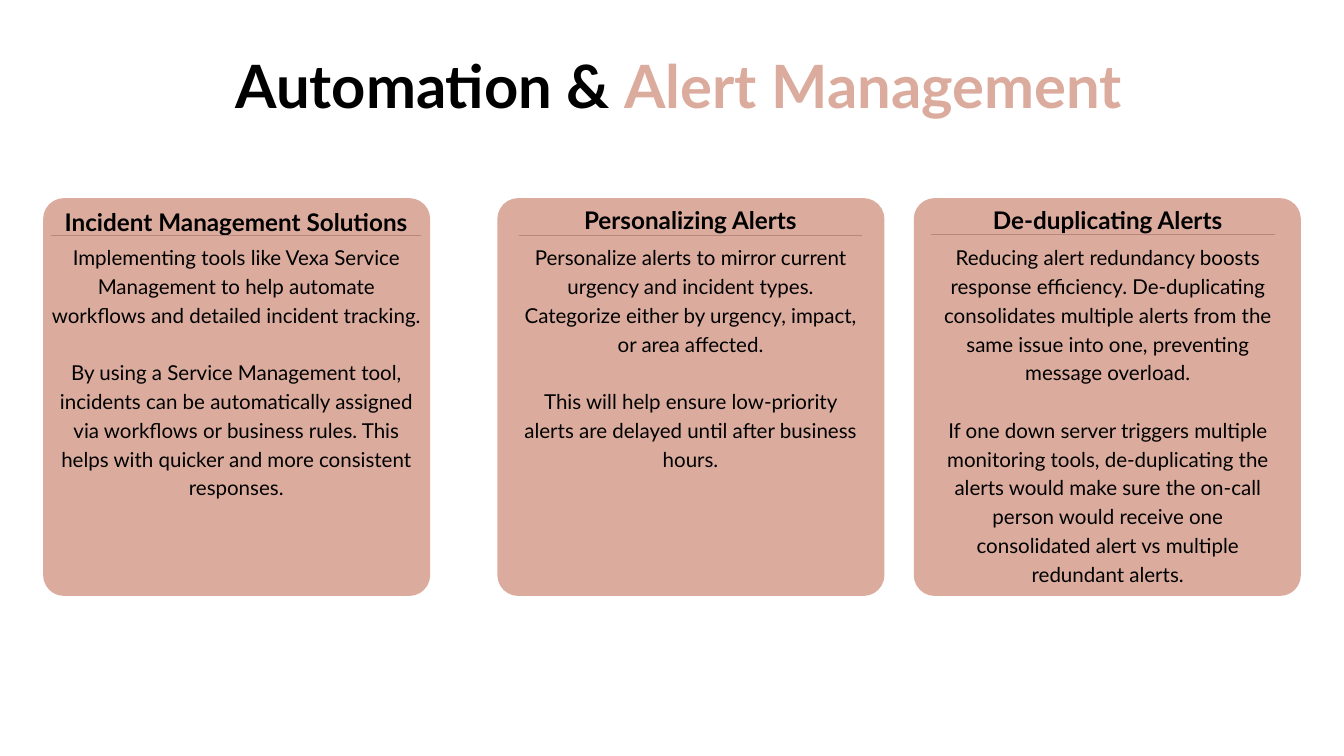
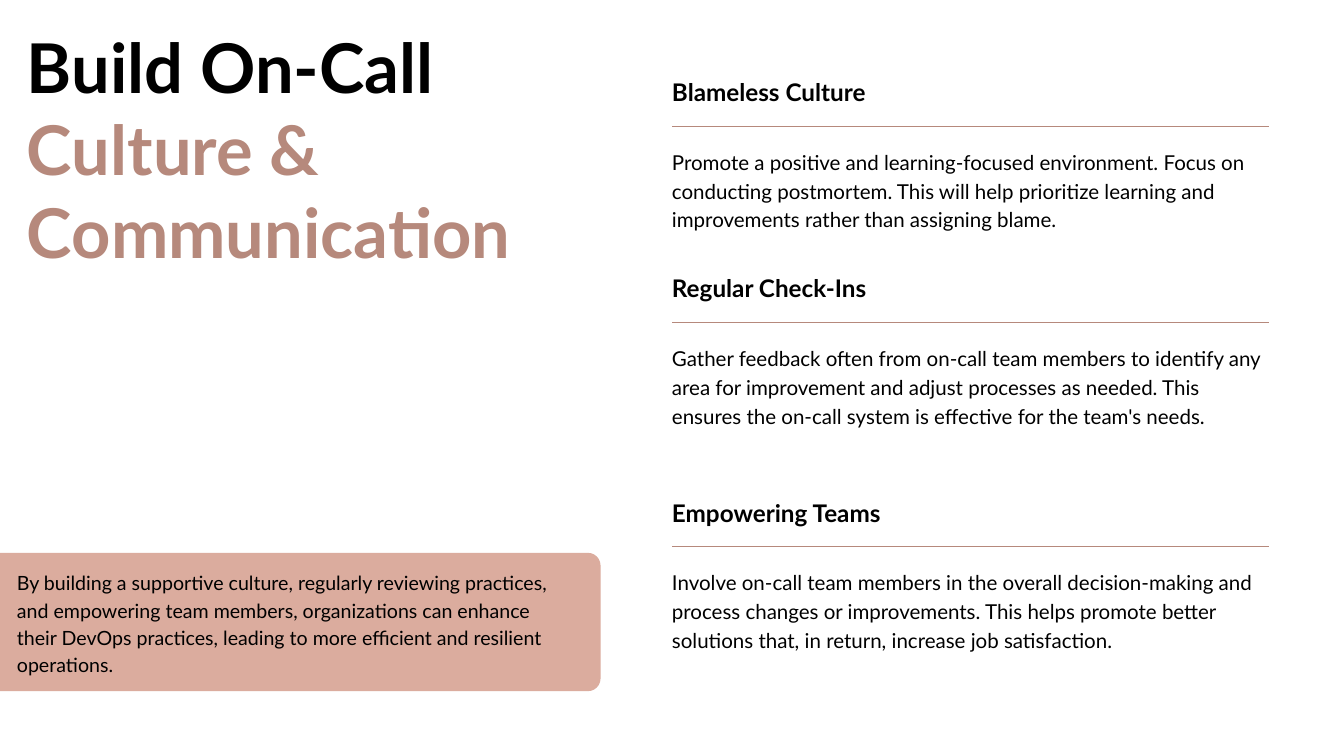
from dataclasses import dataclass

from lxml.etree import SubElement
from pptx import Presentation
from pptx.dml.color import RGBColor
from pptx.enum.shapes import MSO_CONNECTOR as Link, MSO_SHAPE as Kind
from pptx.enum.text import MSO_ANCHOR as Anchor, MSO_AUTO_SIZE as Fit, PP_ALIGN as Align
from pptx.oxml.ns import qn
from pptx.slide import Slide
from pptx.util import Cm, Pt

FONT = "Lato"
BLACK, ROSE, CLAY = "000000", "DBAC9E", "B6897C"
HEAD_H = 1.19


@dataclass(frozen=True)
class Style:
    size: float
    lead: float
    bold: bool = False
    align: Align = Align.LEFT


@dataclass(frozen=True)
class Box:
    left: float
    top: float
    width: float
    height: float

    def cm(self) -> list[Cm]:
        return [Cm(v) for v in (self.left, self.top, self.width, self.height)]


@dataclass(frozen=True)
class Block:
    """A heading, a rule and body text in one column."""
    head: str
    body: list[str]
    left: float
    width: float
    head_top: float
    rule_left: float
    rule_top: float
    body_top: float
    body_h: float


@dataclass(frozen=True)
class Card:
    left: float
    block: Block


def paint(color, code: str) -> None:
    color.rgb = RGBColor.from_string(code)


def set_frame(frame) -> None:
    """Clear the insets and anchor the text at the top."""
    frame.word_wrap = True
    frame.auto_size = Fit.NONE
    frame.vertical_anchor = Anchor.TOP
    frame.margin_left = frame.margin_right = 0
    frame.margin_top = frame.margin_bottom = 0


def set_run(run, style: Style, code: str) -> None:
    font = run.font
    font.name, font.size, font.bold = FONT, Pt(style.size), style.bold
    paint(font.color, code)


def add_text(slide: Slide, box: Box, lines: list[str], style: Style) -> None:
    frame = slide.shapes.add_textbox(*box.cm()).text_frame
    set_frame(frame)
    frame.text = "\n".join(lines)
    for i, para in enumerate(frame.paragraphs):
        para.alignment, para.line_spacing = style.align, Pt(style.lead)
        if i:
            para.space_before = Pt(style.lead)
        for run in para.runs:
            set_run(run, style, BLACK)


def add_title(slide: Slide, box: Box, parts: dict[str, str], style: Style) -> None:
    title = slide.shapes.title
    title.left, title.top, title.width, title.height = box.cm()
    set_frame(title.text_frame)
    para = title.text_frame.paragraphs[0]
    para.alignment, para.line_spacing = style.align, Pt(style.lead)
    for text, code in parts.items():
        run = para.add_run()
        run.text = text
        set_run(run, style, code)


def add_panel(slide: Slide, box: Box, radius: float) -> None:
    panel = slide.shapes.add_shape(Kind.ROUNDED_RECTANGLE, *box.cm())
    panel.adjustments[0] = radius / min(box.width, box.height)
    panel.shadow.inherit = False
    panel.fill.solid()
    paint(panel.fill.fore_color, ROSE)
    panel.line.fill.background()


def add_rule(slide: Slide, left: float, top: float, width: float) -> None:
    rule = slide.shapes.add_connector(
        Link.STRAIGHT, Cm(left), Cm(top), Cm(left + width), Cm(top))
    rule.line.width = Pt(1)
    paint(rule.line.color, CLAY)
    SubElement(rule._element.spPr, qn("a:effectLst"))


def add_block(slide: Slide, block: Block, align: Align) -> None:
    add_text(slide, Box(block.left, block.head_top, block.width, HEAD_H),
             [block.head], Style(26, 36.4, True, align))
    add_rule(slide, block.rule_left, block.rule_top, block.width)
    add_text(slide, Box(block.left, block.body_top, block.width, block.body_h),
             block.body, Style(22, 30.8, align=align))


CARDS = [
    Card(1.63, Block(
        "Incident Management Solutions",
        ["Implementing tools like Vexa Service Management to help automate "
         "workflows and detailed incident tracking.",
         "By using a Service Management tool, incidents can be automatically "
         "assigned via workflows or business rules. This helps with quicker and "
         "more consistent responses."],
        1.93, 14, 7.65, 1.93, 8.89, 9.12, 10.77)),
    Card(18.8, Block(
        "Personalizing Alerts",
        ["Personalize alerts to mirror current urgency and incident types. "
         "Categorize either by urgency, impact, or area affected.",
         "This will help ensure low-priority alerts are delayed until after "
         "business hours."],
        19.61, 12.98, 7.57, 19.61, 8.89, 9.12, 8.61)),
    Card(34.54, Block(
        "De-duplicating Alerts",
        ["Reducing alert redundancy boosts response efficiency. De-duplicating "
         "consolidates multiple alerts from the same issue into one, preventing "
         "message overload.",
         "If one down server triggers multiple monitoring tools, de-duplicating "
         "the alerts would make sure the on-call person would receive one "
         "consolidated alert vs multiple redundant alerts."],
        35.38, 12.98, 7.57, 35.2, 8.86, 9.12, 12.95)),
]

TOPICS = [
    (2.74, "Blameless Culture",
     "Promote a positive and learning-focused environment. Focus on conducting "
     "postmortem. This will help prioritize learning and improvements rather "
     "than assigning blame."),
    (10.16, "Regular Check-Ins",
     "Gather feedback often from on-call team members to identify any area for "
     "improvement and adjust processes as needed. This ensures the on-call "
     "system is effective for the team's needs."),
    (18.64, "Empowering Teams",
     "Involve on-call team members in the overall decision-making and process "
     "changes or improvements. This helps promote better solutions that, in "
     "return, increase job satisfaction."),
]

CLOSING = ("By building a supportive culture, regularly reviewing practices, and "
           "empowering team members, organizations can enhance their DevOps "
           "practices, leading to more efficient and resilient operations.")


def draw_alerts(slide: Slide) -> None:
    add_title(slide, Box(3.1, 1.83, 45.09, 2.69),
              {"Automation & ": BLACK, "Alert Management": ROSE},
              Style(64, 76.8, True, Align.CENTER))
    for card in CARDS:
        add_panel(slide, Box(card.left, 7.49, 14.63, 15.04), 0.79)
        add_block(slide, card.block, Align.CENTER)


def draw_culture(slide: Slide) -> None:
    left, width = 25.4, 22.56
    for top, head, body in TOPICS:
        add_block(slide, Block(head, [body], left, width, top, left,
                               top + 2.03, top + 2.77, 3.18), Align.LEFT)
    add_title(slide, Box(1.02, 0.94, 20.32, 9.32),
              {"Build On-Call ": BLACK, "Culture & Communication": CLAY},
              Style(73.5, 88.2, True))
    add_panel(slide, Box(-1.24, 20.9, 23.94, 5.23), 0.48)
    add_text(slide, Box(0.64, 21.44, 21.06, 4.06), [CLOSING], Style(21, 29.4))


def main() -> None:
    deck = Presentation()
    deck.slide_width, deck.slide_height = Cm(50.8), Cm(28.58)
    for draw in (draw_alerts, draw_culture):
        draw(deck.slides.add_slide(deck.slide_layouts[5]))
    deck.save("out.pptx")


if __name__ == "__main__":
    main()
